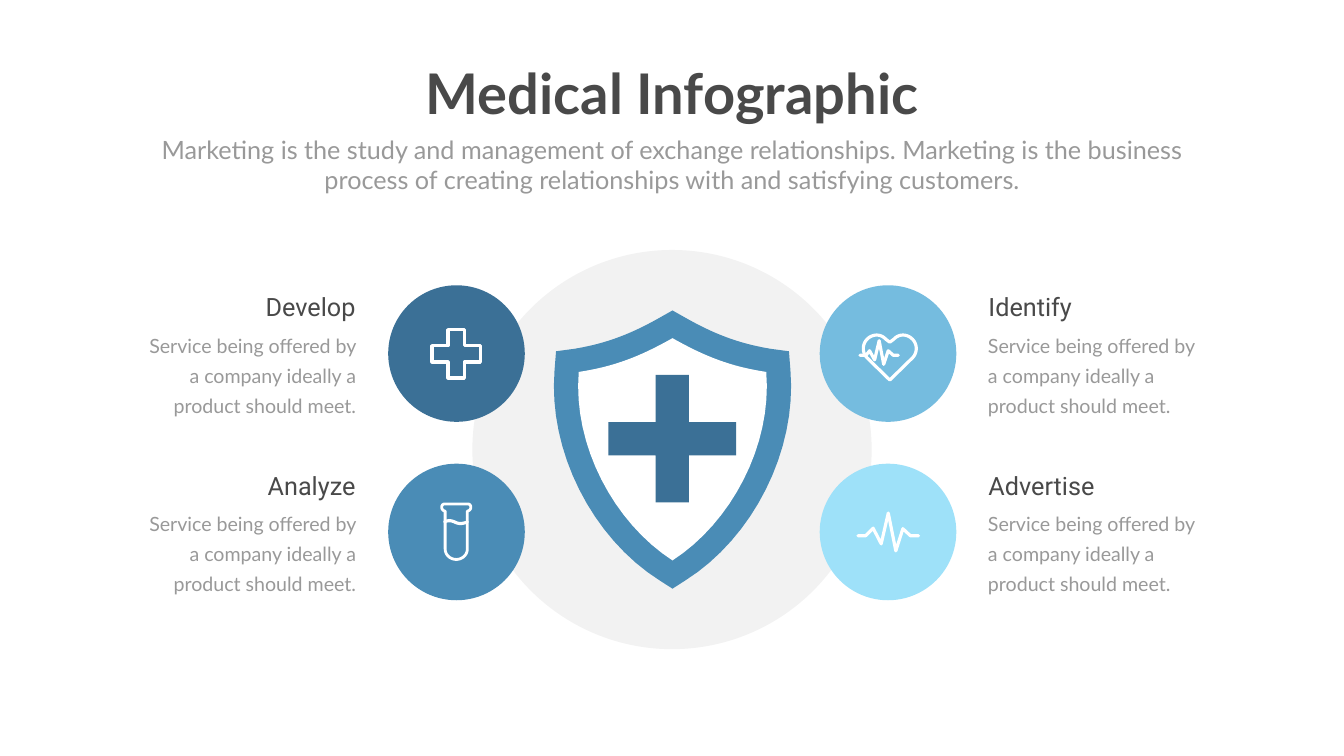
"""Build the medical infographic slide with a shield and four cards."""
from dataclasses import dataclass
from typing import NamedTuple

from lxml.etree import SubElement
from pptx import Presentation
from pptx.dml.color import RGBColor
from pptx.enum.shapes import MSO_SHAPE
from pptx.enum.text import MSO_AUTO_SIZE, PP_ALIGN
from pptx.oxml.ns import qn
from pptx.util import Inches, Pt


@dataclass(frozen=True)
class Theme:
    navy: str = "3B7096"
    blue: str = "4A8CB6"
    sky: str = "75BCDF"
    ice: str = "9EE1F9"
    white: str = "FFFFFF"
    halo: str = "808080"
    dark: str = "494949"
    grey: str = "999999"
    body_font: str = "Lato"
    head_font: str = "Roboto"
    title_size: int = 80
    head_size: int = 36
    body_size: int = 28
    body_line: int = 43


class Box(NamedTuple):
    left: float
    top: float
    width: float
    height: float


class Style(NamedTuple):
    font: str
    size: int
    color: str
    align: PP_ALIGN
    bold: bool = False
    line: int | None = None


class Card(NamedTuple):
    head: str
    color: str
    col: int
    row: int


Path = list[tuple[float, ...]]

THEME = Theme()
BODY = "Service being offered by a company ideally a product should meet."
INTRO = ("Marketing is the study and management of exchange relationships. Marketing is the "
         "business process of creating relationships with and satisfying customers.")
CARDS = [
    Card("Identify", THEME.sky, 1, 0),
    Card("Advertise", THEME.ice, 1, 1),
    Card("Develop", THEME.navy, 0, 0),
    Card("Analyze", THEME.blue, 0, 1),
]
DISC = 2.71
DISC_LEFT = (7.7, 16.26)
TOP, PITCH = 5.66, 3.54

SHIELD: Path = [(13.34, 6.16), (13.57, 6.29), (14.15, 6.62, 14.63, 6.81, 15.28, 6.92),
                (15.65, 6.97), (15.68, 7.35), (15.81, 8.94, 14.94, 10.67, 13.59, 11.52),
                (13.34, 11.68)]
INNER: Path = [(13.34, 6.71), (13.98, 7.07, 14.48, 7.27, 15.2, 7.38),
               (15.32, 8.84, 14.5, 10.37, 13.34, 11.12)]
TUBE: Path = [(9.05, 10), (9.28, 10), (9.36, 10, 9.36, 10.13, 9.27, 10.14), (9.27, 10.89),
              (9.27, 11.01, 9.17, 11.1, 9.05, 11.1)]
FLUID: Path = [(8.82, 10.35), (8.96, 10.3, 9.02, 10.37, 9.08, 10.38),
               (9.14, 10.4, 9.2, 10.38, 9.27, 10.36)]
HEART: Path = [(17.65, 6.79), (17.73, 6.73), (17.83, 6.62, 17.99, 6.62, 18.1, 6.73),
               (18.2, 6.83, 18.2, 7, 18.1, 7.1), (17.65, 7.54)]
BEAT: Path = [(17.06, 7.05), (17.18, 7.05), (17.25, 6.96), (17.35, 7.14), (17.44, 6.76),
              (17.53, 7.23), (17.62, 6.96), (17.72, 7.05), (17.82, 7.05)]
PULSE: Path = [(17.02, 10.63), (17.17, 10.63), (17.32, 10.48), (17.48, 10.79), (17.62, 10.18),
               (17.77, 10.93), (17.91, 10.49), (18.06, 10.63), (18.22, 10.63)]


def flatten(path: Path, steps: int = 16) -> Path:
    """Turn points and cubic curves into plain points."""
    points: Path = []
    for part in path:
        if len(part) == 2:
            points.append(part)
            continue
        nodes = [points[-1], part[:2], part[2:4], part[4:]]
        for step in range(1, steps + 1):
            t = step / steps
            parts = ((1 - t) ** 3, 3 * t * (1 - t) ** 2, 3 * t * t * (1 - t), t ** 3)
            points.append(tuple(sum(w * node[i] for w, node in zip(parts, nodes))
                                for i in (0, 1)))
    return points


def mirror(path: Path) -> Path:
    """Complete a right half with its reflection about the first point."""
    half = flatten(path)
    axis = half[0][0]
    return half + [(2 * axis - x, y) for x, y in reversed(half[1:-1])]


def paint(shape, fill: str | None, stroke: float = 0) -> None:
    """Set the fill and a white round stroke."""
    shape.shadow.inherit = False
    if fill:
        shape.fill.solid()
        shape.fill.fore_color.rgb = RGBColor.from_string(fill)
    else:
        shape.fill.background()
    if not stroke:
        shape.line.fill.background()
        return
    shape.line.color.rgb = RGBColor.from_string(THEME.white)
    shape.line.width = Pt(stroke)
    line = shape.line._get_or_add_ln()
    line.set("cap", "rnd")
    SubElement(line, qn("a:round"))


def draw_path(slide, points: Path, fill: str | None, stroke: float = 0,
              close: bool = True) -> None:
    """Draw one outline through the points."""
    dots = [(Inches(x), Inches(y)) for x, y in points]
    pen = slide.shapes.build_freeform(*dots[0])
    pen.add_line_segments(dots[1:], close=close)
    paint(pen.convert_to_shape(), fill, stroke)


def draw_shape(slide, kind: MSO_SHAPE, box: Box, fill: str | None, stroke: float = 0):
    """Draw a preset shape."""
    shape = slide.shapes.add_shape(kind, *map(Inches, box))
    paint(shape, fill, stroke)
    return shape


def draw_text(slide, text: str, box: Box, style: Style, wrap: bool = True) -> None:
    """Draw a one-paragraph text box."""
    frame = slide.shapes.add_textbox(*map(Inches, box)).text_frame
    frame.word_wrap = wrap
    frame.auto_size = MSO_AUTO_SIZE.SHAPE_TO_FIT_TEXT
    frame.text = text
    para = frame.paragraphs[0]
    para.alignment = style.align
    if style.line:
        para.line_spacing = Pt(style.line)
    font = para.runs[0].font
    font.name, font.size, font.bold = style.font, Pt(style.size), style.bold
    font.color.rgb = RGBColor.from_string(style.color)


def draw_card(slide, card: Card) -> None:
    """Draw a disc with its heading and body text."""
    top = TOP + card.row * PITCH
    draw_shape(slide, MSO_SHAPE.OVAL, Box(DISC_LEFT[card.col], top, DISC, DISC), card.color)
    align = (PP_ALIGN.RIGHT, PP_ALIGN.LEFT)[card.col]
    draw_text(slide, BODY, Box((2.59, 19.5)[card.col], top + 0.78, 4.57, 1.86),
              Style(THEME.body_font, THEME.body_size, THEME.grey, align, line=THEME.body_line))
    draw_text(slide, card.head, Box((4.02, 19.51)[card.col], top + 0.08, 3.13, 0.71),
              Style(THEME.head_font, THEME.head_size, THEME.dark, align))


def main() -> None:
    """Compose and save the slide."""
    deck = Presentation()
    deck.slide_width, deck.slide_height = Inches(26.66), Inches(15)
    slide = deck.slides.add_slide(deck.slide_layouts[6])
    halo = draw_shape(slide, MSO_SHAPE.OVAL, Box(9.37, 4.96, 7.92, 7.92), THEME.halo)
    tint = halo._element.spPr.find(qn("a:solidFill"))[0]
    SubElement(tint, qn("a:alpha")).set("val", "10000")
    for card in CARDS:
        draw_card(slide, card)
    draw_path(slide, mirror(SHIELD), THEME.blue)
    draw_path(slide, mirror(INNER), THEME.white)
    cross = draw_shape(slide, MSO_SHAPE.CROSS, Box(12.07, 7.44, 2.53, 2.53), THEME.navy)
    cross.adjustments[0] = 0.37
    plus = draw_shape(slide, MSO_SHAPE.CROSS, Box(8.57, 6.54, 0.96, 0.96), None, 4.5)
    plus.adjustments[0] = 0.33
    draw_path(slide, mirror(TUBE), None, 4)
    draw_path(slide, mirror(HEART), None, 4.5)
    for path in (FLUID, BEAT, PULSE):
        draw_path(slide, flatten(path), None, 4.5, close=False)
    draw_text(slide, "Medical Infographic", Box(8.24, 1.12, 10.19, 1.45),
              Style(THEME.body_font, THEME.title_size, THEME.dark, PP_ALIGN.CENTER, True), False)
    draw_text(slide, INTRO, Box(2.92, 2.61, 20.82, 1.31),
              Style(THEME.body_font, THEME.head_size, THEME.grey, PP_ALIGN.CENTER))
    deck.save("out.pptx")


if __name__ == "__main__":
    main()
